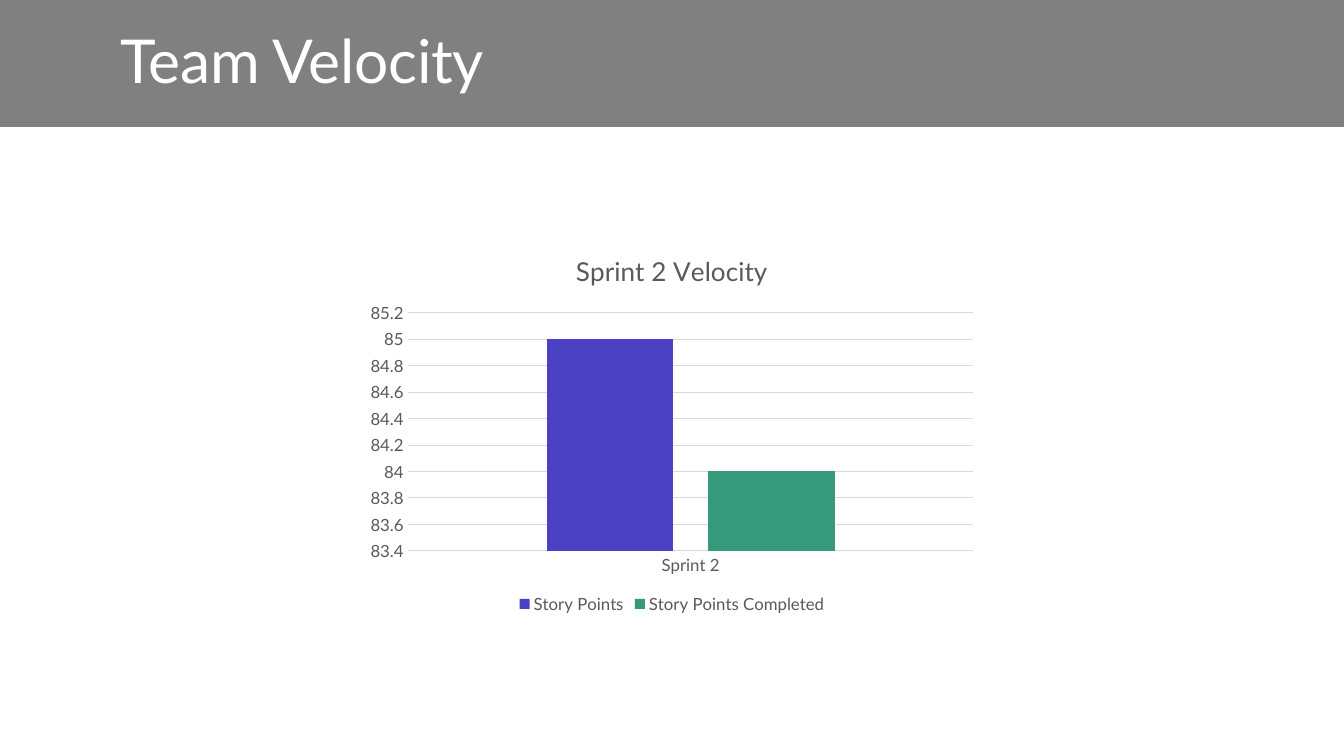
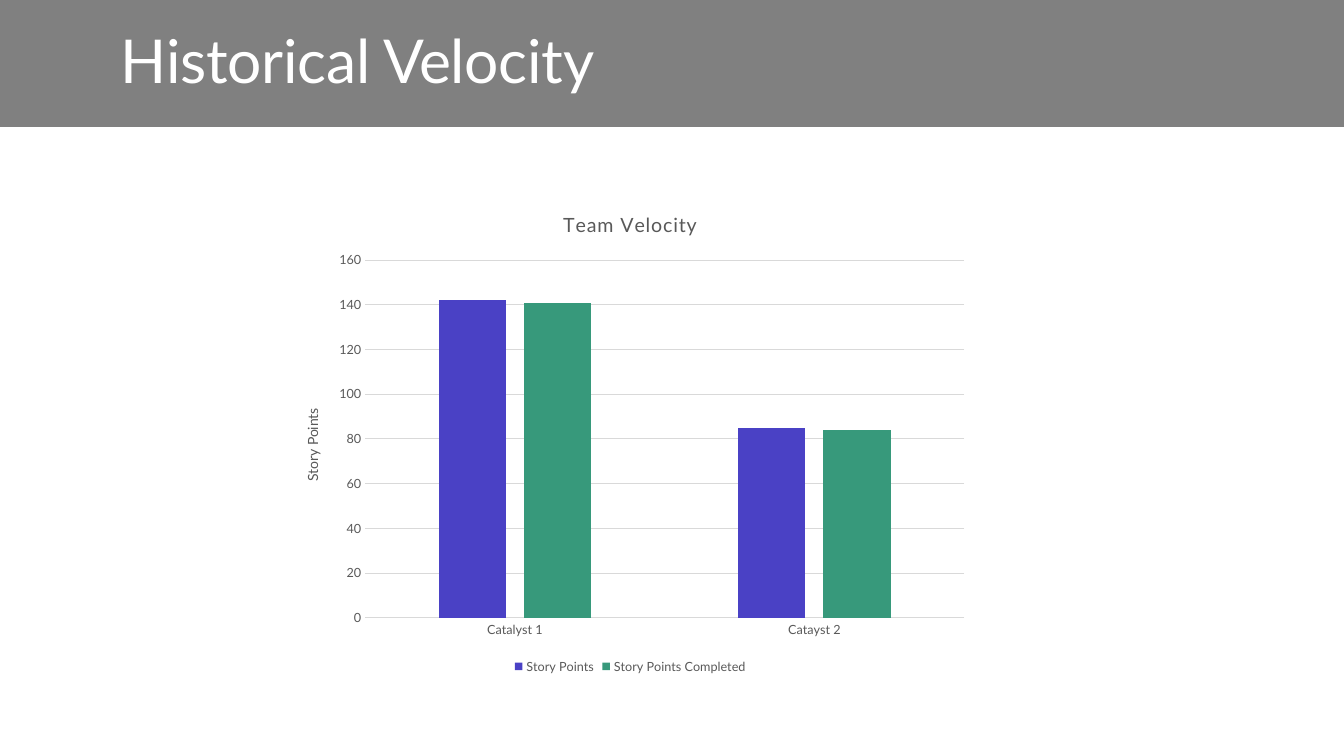
from dataclasses import dataclass

from pptx import Presentation
from pptx import util as u
from pptx.chart import data as cd
from pptx.dml.color import RGBColor
from pptx.enum import chart as ce, shapes, text


@dataclass(frozen=True)
class Theme:
    font: str = "Lato"
    band: str = "808080"
    white: str = "FFFFFF"
    ink: str = "595959"
    grid: str = "D9D9D9"
    bars: tuple = ("4A41C5", "37997B")
    head: float = 43.2
    line: float = 0.75


class Deck:
    def __init__(self, theme):
        self.theme = theme
        self.prs = Presentation()
        self.prs.slide_width = u.Inches(13.33)
        self.prs.slide_height = u.Inches(7.5)
        self.slide = None

    def style(self, font, size, color):
        font.name = self.theme.font
        font.size = u.Pt(size)
        font.bold = False
        font.color.rgb = RGBColor.from_string(color)

    def track(self, run, value):
        run._r.get_or_add_rPr().set("spc", str(value))

    def rule(self, line):
        line.color.rgb = RGBColor.from_string(self.theme.grid)
        line.width = u.Pt(self.theme.line)

    def page(self, title):
        self.slide = self.prs.slides.add_slide(self.prs.slide_layouts[6])
        self.band()
        self.title(title)

    def band(self):
        band = self.slide.shapes.add_shape(
            shapes.MSO_SHAPE.RECTANGLE, 0, 0, self.prs.slide_width, u.Inches(1.26))
        band.shadow.inherit = False
        band.fill.solid()
        band.fill.fore_color.rgb = RGBColor.from_string(self.theme.band)
        band.line.fill.background()

    def title(self, words):
        box = self.slide.shapes.add_textbox(
            u.Inches(1.1), u.Inches(0.21), u.Inches(10.3), u.Inches(0.84))
        frame = box.text_frame
        frame.word_wrap = True
        frame.vertical_anchor = text.MSO_ANCHOR.MIDDLE
        frame.text = words
        para = frame.paragraphs[0]
        para.line_spacing = 0.9
        run = para.runs[0]
        self.style(run.font, self.theme.head, self.theme.white)
        self.track(run, -20)

    def label(self, owner, words, size, space=0):
        frame = owner.text_frame
        frame.text = words
        run = frame.paragraphs[0].runs[0]
        self.style(run.font, size, self.theme.ink)
        self.track(run, space)

    def axis(self, axis, size):
        axis.major_tick_mark = axis.minor_tick_mark = ce.XL_TICK_MARK.NONE
        self.style(axis.tick_labels.font, size, self.theme.ink)

    def chart(self, place, name, cats, rows, scale, size, head, space=0, side=None):
        data = cd.CategoryChartData()
        data.categories = cats
        for key, vals in rows.items():
            data.add_series(key, vals)
        chart = self.slide.shapes.add_chart(
            ce.XL_CHART_TYPE.COLUMN_CLUSTERED, *map(u.Inches, place), data).chart
        self.style(chart.font, size, self.theme.ink)
        self.label(chart.chart_title, name, head, space)

        chart.has_legend = True
        chart.legend.position = ce.XL_LEGEND_POSITION.BOTTOM
        chart.legend.include_in_layout = False
        self.style(chart.legend.font, size, self.theme.ink)

        plot = chart.plots[0]
        plot.gap_width = 219
        plot.overlap = -27
        plot.vary_by_categories = False
        for bar, color in zip(plot.series, self.theme.bars):
            bar.format.fill.solid()
            bar.format.fill.fore_color.rgb = RGBColor.from_string(color)

        self.axis(chart.category_axis, size)
        self.rule(chart.category_axis.format.line)
        axis = chart.value_axis
        self.axis(axis, size)
        axis.minimum_scale, axis.maximum_scale, axis.major_unit = scale
        axis.format.line.fill.background()
        self.rule(axis.major_gridlines.format.line)
        if side:
            self.label(axis.axis_title, side, 10)


def main():
    deck = Deck(Theme())
    plan, done = "Story Points", "Story Points Completed"

    deck.page("Team Velocity")
    deck.chart((3.55, 2.33, 6.23, 3.8), "Sprint 2 Velocity", ["Sprint 2"],
               {plan: [85], done: [84]}, (83.4, 85.2, 0.2), size=12, head=18.6)

    deck.page("Historical Velocity")
    deck.chart((2.8, 1.9, 6.9, 4.83), "Team Velocity", ["Catalyst 1", "Catayst 2"],
               {plan: [142, 85], done: [141, 84]}, (0, 160, 20),
               size=9, head=14, space=50, side=plan)

    deck.prs.save("out.pptx")


if __name__ == "__main__":
    main()
